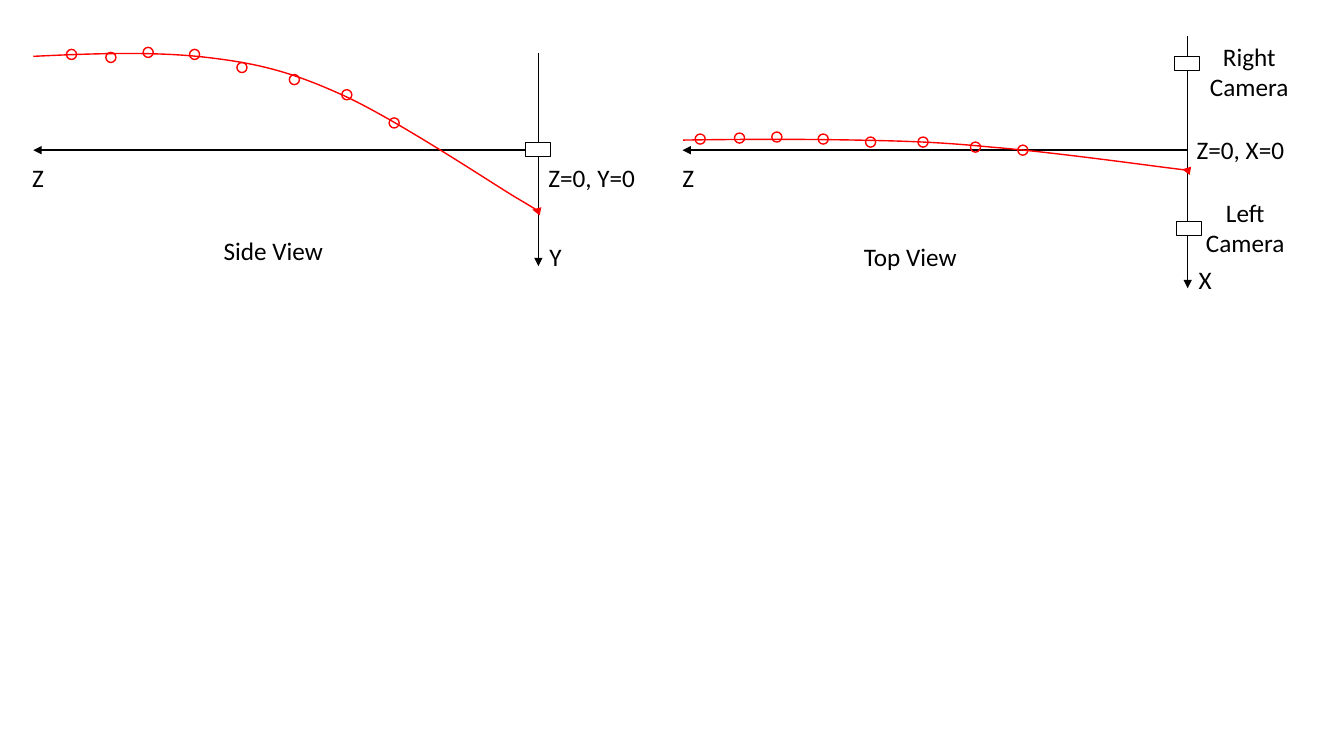
from dataclasses import dataclass
from lxml.etree import SubElement
from pptx import Presentation
from pptx.dml.color import RGBColor
from pptx.enum.shapes import MSO_CONNECTOR, MSO_SHAPE
from pptx.enum.text import PP_ALIGN
from pptx.oxml.ns import qn
from pptx.util import Inches, Pt


@dataclass(frozen=True)
class Theme:
    ink: RGBColor = RGBColor(0, 0, 0)
    path_red: RGBColor = RGBColor(255, 0, 0)
    paper: RGBColor = RGBColor(255, 255, 255)
    font: str = "Calibri"
    label_size: Pt = Pt(18)
    axis_width: Pt = Pt(1)
    camera_width: Pt = Pt(0.75)


THEME = Theme()
CELL = Inches(0.01)
COLUMNS, ROWS = 1333, 750
AXIS_ROW, AXIS_LENGTH, LABEL_HEIGHT = 149, 500, 40
MARKER, CAMERA = 10, (25, 14)

CURVE_COLUMNS = (33, 93, 154, 205, 256, 288, 339, 390, 479, 510, 542, 535, 528)
MARKER_COLUMNS = (66, 105, 142, 188, 235, 287, 339, 386)

VIEWS = (
    {
        "shift": 0, "curve_shift": 0, "marker_shift": 0,
        "vertical_axis": (534, 53, 264),
        "curve_rows": (56, 53, 51, 57, 63, 71, 94, 117, 176, 195, 214, 211, 208),
        "marker_rows": (49, 52, 47, 49, 62, 74, 89, 117),
        "cameras": ((521, 141),),
        "labels": (("Z", 22, 156, 57), ("Y", 535, 234, 37),
                   ("Z=0, Y=0", 534, 156, 106), ("Side View", 212, 229, 128)),
        "camera_labels": (),
    },
    {
        "shift": 644, "curve_shift": 644.5, "marker_shift": 623.5,
        "vertical_axis": (1178, 36, 286),
        "curve_rows": (139, 138, 138, 139, 140, 141, 146, 150, 162, 166, 170, 169, 168),
        "marker_rows": (133, 132, 131, 133, 136, 136, 141, 144),
        "cameras": ((1165, 56), (1167, 220)),
        "labels": (("Z", 667, 156, 57), ("X", 1179, 257, 37),
                   ("Z=0, X=0", 1177, 128, 123), ("Top View", 847, 234, 128)),
        "camera_labels": (("Left Camera", 1183, 191, 104), ("Right Camera", 1187, 36, 104)),
    },
)


def cells(*lengths):
    return [round(length * CELL) for length in lengths]


def style_line(item, color, width, arrow=False):
    item.line.color.rgb = color
    item.line.width = width
    if arrow:
        SubElement(item.line._get_or_add_ln(), qn("a:tailEnd"), type="triangle")


def add_axis(shapes, *ends):
    axis = shapes.add_connector(MSO_CONNECTOR.STRAIGHT, *cells(*ends))
    style_line(axis, THEME.ink, THEME.axis_width, arrow=True)
    SubElement(axis._element.spPr, qn("a:effectLst"))


def add_curve(shapes, points):
    builder = shapes.build_freeform(*points[0], scale=1.0)
    builder.add_line_segments(points[1:], close=False)
    curve = builder.convert_to_shape()
    curve.shadow.inherit = False
    curve.fill.background()
    style_line(curve, THEME.path_red, THEME.axis_width, arrow=True)
    outline = curve._element.spPr.find(".//" + qn("a:path"))
    segments = outline.findall(qn("a:lnTo"))
    for first in range(0, len(segments), 3):
        bend = SubElement(outline, qn("a:cubicBezTo"))
        for segment in segments[first:first + 3]:
            bend.append(segment[0])
            outline.remove(segment)


def add_outline(shapes, preset, box, color, width, fill=None):
    outline = shapes.add_shape(preset, *cells(*box))
    outline.shadow.inherit = False
    if fill is None:
        outline.fill.background()
    else:
        outline.fill.solid()
        outline.fill.fore_color.rgb = fill
    style_line(outline, color, width)


def add_label(shapes, wording, left, top, width, height=LABEL_HEIGHT, centred=False):
    frame = shapes.add_textbox(*cells(left, top, width, height)).text_frame
    frame.word_wrap = centred
    paragraph = frame.paragraphs[0]
    paragraph.alignment = PP_ALIGN.CENTER if centred else PP_ALIGN.LEFT
    run = paragraph.add_run()
    run.text = wording
    run.font.name = THEME.font
    run.font.size = THEME.label_size
    run.font.color.rgb = THEME.ink


def add_view(shapes, view):
    axis_end = 33 + view["shift"]
    add_axis(shapes, axis_end + AXIS_LENGTH, AXIS_ROW, axis_end, AXIS_ROW)
    column, top, bottom = view["vertical_axis"]
    add_axis(shapes, column, top, column, bottom)
    add_curve(shapes, [cells(x + view["curve_shift"], y)
                       for x, y in zip(CURVE_COLUMNS, view["curve_rows"])])
    for x, y in zip(MARKER_COLUMNS, view["marker_rows"]):
        add_outline(shapes, MSO_SHAPE.OVAL, (x + view["marker_shift"], y, MARKER, MARKER),
                    THEME.path_red, THEME.axis_width)
    for corner in view["cameras"]:
        add_outline(shapes, MSO_SHAPE.RECTANGLE, corner + CAMERA,
                    THEME.ink, THEME.camera_width, THEME.paper)
    for label in view["labels"]:
        add_label(shapes, *label)
    for label in view["camera_labels"]:
        add_label(shapes, *label, height=71, centred=True)


def main():
    deck = Presentation()
    deck.slide_width, deck.slide_height = cells(COLUMNS, ROWS)
    slide = deck.slides.add_slide(deck.slide_layouts[6])
    for view in VIEWS:
        add_view(slide.shapes, view)
    deck.save("out.pptx")


if __name__ == "__main__":
    main()
